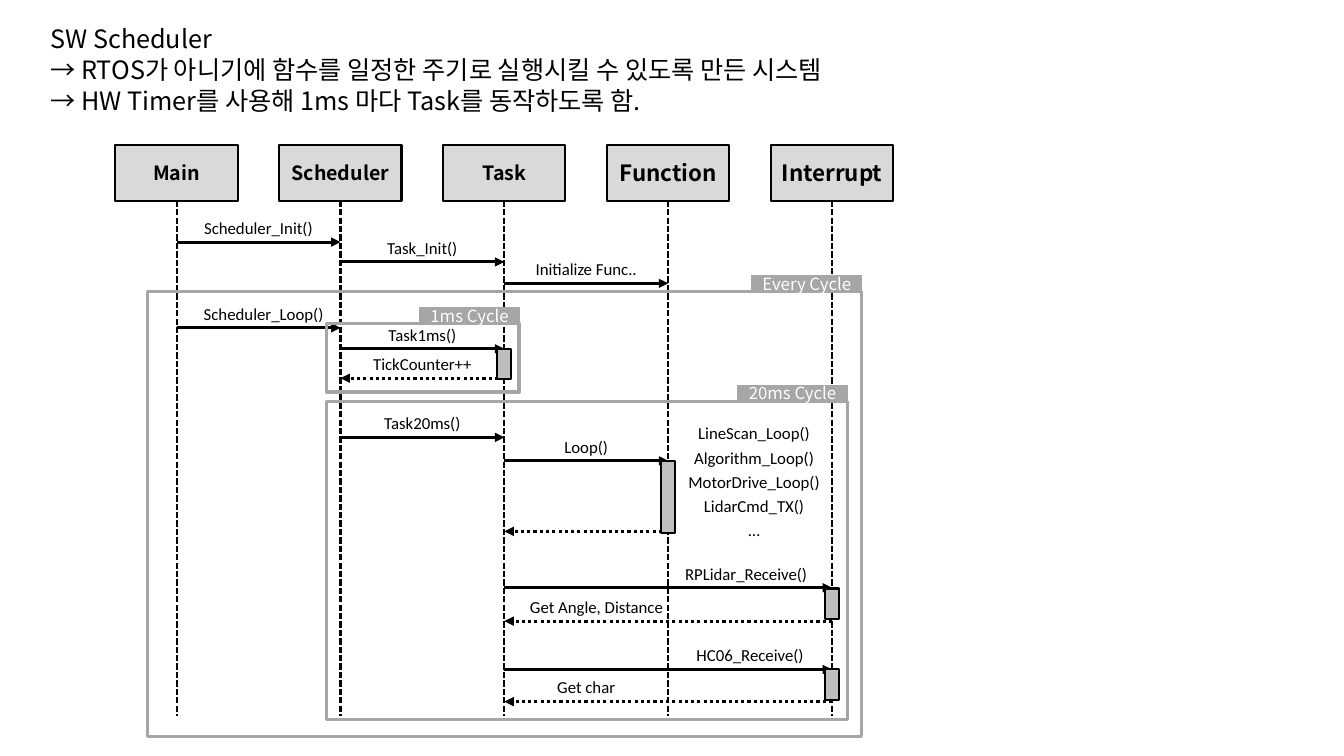
from lxml import etree
from pptx import Presentation
from pptx import util as u
from pptx.dml.color import RGBColor
from pptx.enum import dml, shapes, text
from pptx.oxml import ns

BLACK = RGBColor(0x00, 0x00, 0x00)
WHITE = RGBColor(0xFF, 0xFF, 0xFF)
PALE = RGBColor(0xD9, 0xD9, 0xD9)
SILVER = RGBColor(0xBF, 0xBF, 0xBF)
GRAY = RGBColor(0xA6, 0xA6, 0xA6)
KOREAN, LATIN = "Noto Sans CJK KR", "Calibri"

# Lengths in cm, relative to the diagram
HEAD_W, HEAD_H = 3.08, 1.4
PITCH = 4.13
LIFE_END = 14.37
BAR_W = 0.36
TAG_H = 0.4
LABEL_H, LABEL_UP = 0.77, 0.74

LANES = [("Main", 14), ("Scheduler", 14), ("Task", 14),
         ("Function", 16), ("Interrupt", 16)]

# from lane, to lane, y, label, gap holding the label, label width, shift
STEPS = [
    (0, 1, 2.44, "Scheduler_Init()", 0, 3.28, 0),
    (1, 2, 2.94, "Task_Init()", 1, 2.31, 0),
    (2, 3, 3.48, "Initialize Func..", 2, 3.1, 0),
    (0, 1, 4.6, "Scheduler_Loop()", 0, 3.56, 0.13),
    (1, 2, 5.13, "Task1ms()", 1, 2.24, 0),
    (2, 1, 5.87, "TickCounter++", 1, 3.02, 0),
    (1, 2, 7.36, "Task20ms()", 1, 2.46, 0),
    (2, 3, 7.95, "Loop()", 2, 1.63, 0),
    (3, 2, 9.73, None, 2, 0, 0),
    (2, 4, 11.15, "RPLidar_Receive()", 3, 3.63, -0.1),
    (4, 2, 11.99, "Get Angle, Distance", 2, 3.91, 0.26),
    (2, 4, 13.21, "HC06_Receive()", 3, 3.25, 0),
    (4, 2, 14.02, "Get char", 2, 1.98, 0),
]

# Calls made in the loop: label, width
CALLS = [("LineScan_Loop()", 3.35), ("Algorithm_Loop()", 3.56),
         ("MotorDrive_Loop()", 3.86), ("LidarCmd_TX()", 3.05), ("…", 0.84)]
CALL_TOP, CALL_STEP = 6.88, 0.61

# lane, top, height
BARS = [(2, 5.13, 0.77), (3, 7.95, 1.83), (4, 11.17, 0.77), (4, 13.21, 0.77)]

# label, left, top, width, height, tag width
FRAMES = [("Every Cycle", 0.8, 3.68, 18.01, 11.23, 2.77),
          ("1ms Cycle", 5.32, 4.49, 4.85, 1.73, 2.49),
          ("20ms Cycle", 5.32, 6.45, 13.13, 8.03, 2.77)]


def write(frame, words, size=12, font=LATIN, color=BLACK, bold=False,
          align=text.PP_ALIGN.CENTER, anchor=text.MSO_ANCHOR.MIDDLE,
          wrap=False, pitch=None):
    """Fill a text frame, one paragraph per line."""
    frame.text = words
    frame.word_wrap = wrap
    frame.auto_size = text.MSO_AUTO_SIZE.NONE
    frame.vertical_anchor = anchor
    for para in frame.paragraphs:
        para.alignment = align
        para.space_before = u.Pt(0)
        if pitch:
            para.line_spacing = u.Pt(pitch)
        for run in para.runs:
            run.font.size = u.Pt(size)
            run.font.bold = bold
            run.font.color.rgb = color
            run.font.name = font
            east = etree.SubElement(run.font._element, ns.qn("a:ea"))
            east.set("typeface", font)


def place(item, x, y, w, h):
    item.left, item.top = u.Cm(x), u.Cm(y)
    item.width, item.height = u.Cm(w), u.Cm(h)


def rect(slide, x, y, w, h, fill=None, line=BLACK, width=1.5):
    box = slide.shapes.add_shape(shapes.MSO_SHAPE.RECTANGLE,
                                 u.Cm(x), u.Cm(y), u.Cm(w), u.Cm(h))
    box.shadow.inherit = False
    if fill is None:
        box.fill.background()
    else:
        box.fill.solid()
        box.fill.fore_color.rgb = fill
    box.line.color.rgb = line
    box.line.width = u.Pt(width)
    return box


def link(slide, x1, y1, x2, y2, width=2.25, dash=None, arrow=True):
    line = slide.shapes.add_connector(shapes.MSO_CONNECTOR.STRAIGHT,
                                      u.Cm(x1), u.Cm(y1), u.Cm(x2), u.Cm(y2))
    line.line.color.rgb = BLACK
    line.line.width = u.Pt(width)
    if dash:
        line.line.dash_style = dash
    if arrow:
        tail = etree.SubElement(line.line._get_or_add_ln(), ns.qn("a:tailEnd"))
        tail.set("type", "triangle")
    etree.SubElement(line._element.spPr, ns.qn("a:effectLst"))
    return line


def label(slide, words, mid, y, w):
    box = slide.shapes.add_textbox(u.Cm(mid - w / 2), u.Cm(y),
                                   u.Cm(w), u.Cm(LABEL_H))
    write(box.text_frame, words, anchor=text.MSO_ANCHOR.TOP)


def intro(slide, x, y, w):
    """Title with the two explaining lines below it."""
    title, body = slide.placeholders
    look = dict(size=18, font=KOREAN, align=text.PP_ALIGN.LEFT,
                anchor=text.MSO_ANCHOR.TOP, wrap=True, pitch=22)
    place(title, x, y, w, 0.9)
    write(title.text_frame, "SW Scheduler", **look)
    place(body, x, y + 0.78, w, 1.8)
    write(body.text_frame,
          "→ RTOS가 아니기에 함수를 일정한 주기로 실행시킬 수 있도록 만든 시스템\n"
          "→ HW Timer를 사용해 1ms 마다 Task를 동작하도록 함.", **look)
    for para in body.text_frame.paragraphs:
        props = para._p.get_or_add_pPr()
        props.set("marL", "0")
        props.set("indent", "0")
        etree.SubElement(props, ns.qn("a:buNone"))


def diagram(slide, x, y):
    """Sequence diagram with its top left corner at x, y."""
    mids = [x + HEAD_W / 2 + PITCH * i for i in range(len(LANES))]

    # Lane heads and lifelines
    for mid, (name, size) in zip(mids, LANES):
        head = rect(slide, mid - HEAD_W / 2, y, HEAD_W, HEAD_H, PALE)
        write(head.text_frame, name, size=size, font=KOREAN, bold=True)
        life = link(slide, mid, y + HEAD_H, mid, y + LIFE_END, width=1.5,
                    dash=dml.MSO_LINE.SQUARE_DOT, arrow=False)
        life.begin_connect(head, 2)

    # Messages; returns are dotted
    for start, end, dy, words, gap, w, shift in STEPS:
        dash = dml.MSO_LINE.ROUND_DOT if start > end else None
        link(slide, mids[start], y + dy, mids[end], y + dy, dash=dash)
        if words:
            label(slide, words, mids[gap] + PITCH / 2 + shift,
                  y + dy - LABEL_UP, w)

    # Calls beside the loop bar
    for i, (words, w) in enumerate(CALLS):
        label(slide, words, mids[3] + PITCH / 2 + 0.1,
              y + CALL_TOP + CALL_STEP * i, w)

    # Activation bars
    for lane, dy, h in BARS:
        rect(slide, mids[lane] - BAR_W / 2, y + dy, BAR_W, h, SILVER)

    # Cycle frames, each with a tag on its top right corner
    for words, dx, dy, w, h, tag_w in FRAMES:
        rect(slide, x + dx, y + dy, w, h, line=GRAY, width=2.25)
        tag = rect(slide, x + dx + w - tag_w, y + dy - TAG_H, tag_w, TAG_H,
                   GRAY, GRAY, 1)
        tag.text_frame.margin_top = tag.text_frame.margin_bottom = 0
        write(tag.text_frame, words, font=KOREAN, color=WHITE)


def main():
    deck = Presentation()
    deck.slide_width, deck.slide_height = u.Cm(33.87), u.Cm(19.05)
    slide = deck.slides.add_slide(deck.slide_layouts[1])
    intro(slide, 1.02, 0.44, 22.25)
    diagram(slide, 2.91, 3.66)
    deck.save("out.pptx")


if __name__ == "__main__":
    main()
